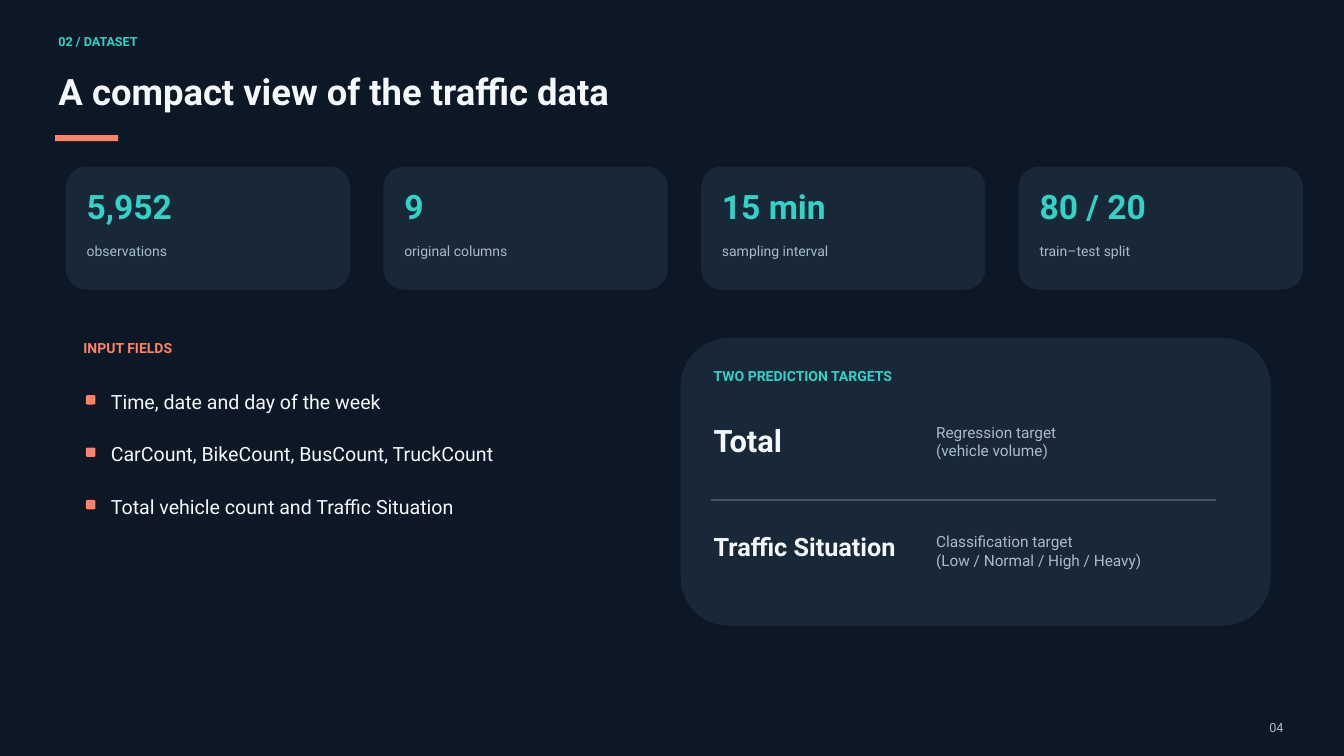
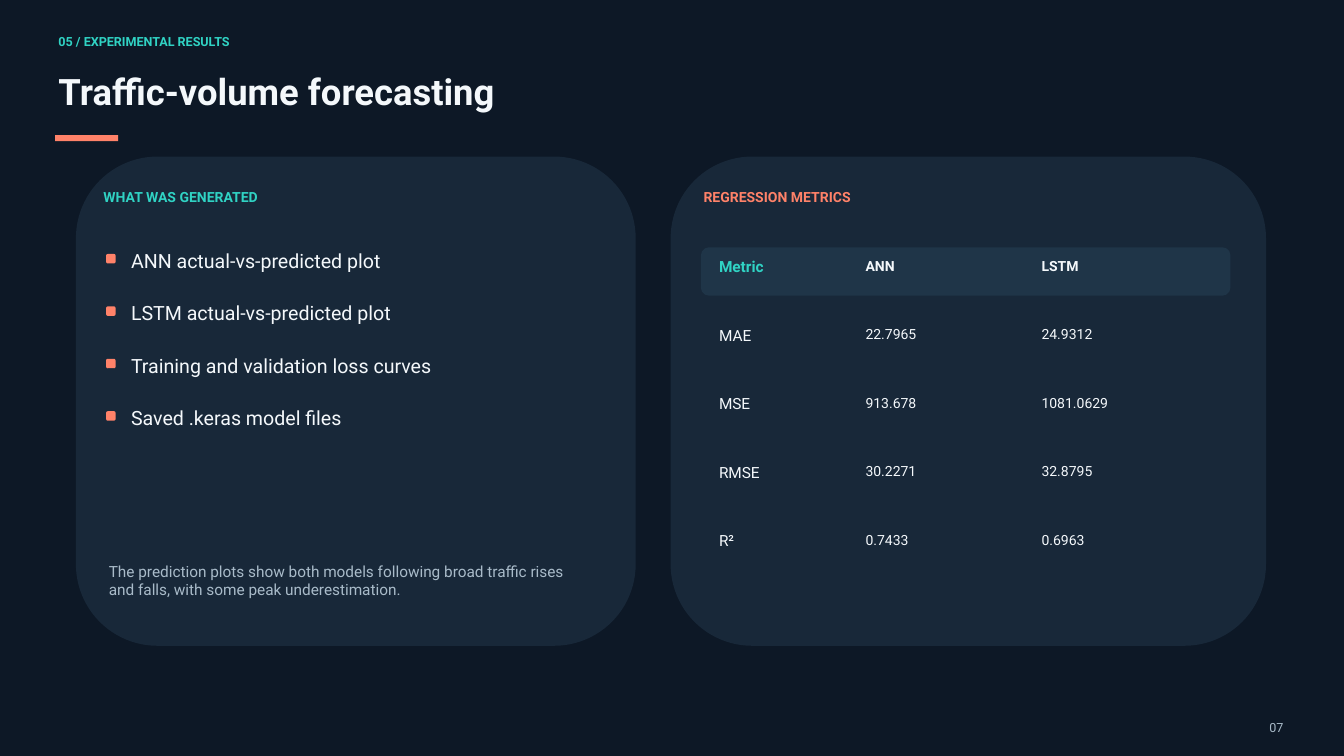
import pptx
import pptx.dml.color
import pptx.enum.shapes
import pptx.enum.text
import pptx.oxml
import pptx.oxml.ns
import pptx.util
from pptx.util import Inches

COLORS = {
    "night": "0D1826", "card": "182839", "band": "1F3548", "rule": "415566",
    "teal": "30D3C4", "coral": "FF8269", "white": "F4F8FB", "muted": "A9BBC9",
}
FONT = "Roboto"
LINE_FACTOR = 1.2
NO_GRID_STYLE = "{2D5ABB26-0587-4C30-8999-92F81FD0307C}"
SHAPES = pptx.enum.shapes.MSO_SHAPE


def rgb(color):
    """Return the palette colour as an RGBColor."""
    return pptx.dml.color.RGBColor.from_string(COLORS[color])


def style_paragraph(paragraph, size, color, bold=False):
    """Apply the deck's font and its proportional fixed leading."""
    paragraph.line_spacing = pptx.util.Pt(round(size * LINE_FACTOR, 1))
    paragraph.font.name = FONT
    paragraph.font.size = pptx.util.Pt(size)
    paragraph.font.bold = bold
    paragraph.font.color.rgb = rgb(color)


def clear_frame(frame):
    """Remove insets and keep the text wrapped at the top."""
    frame.margin_left = frame.margin_top = frame.margin_right = frame.margin_bottom = 0
    frame.word_wrap = True
    frame.auto_size = pptx.enum.text.MSO_AUTO_SIZE.NONE
    frame.vertical_anchor = pptx.enum.text.MSO_ANCHOR.TOP


def add_text(slide, box, lines, size, color, bold=False, align=pptx.enum.text.PP_ALIGN.LEFT):
    """Add a text box with one paragraph per line."""
    frame = slide.shapes.add_textbox(*map(Inches, box)).text_frame
    clear_frame(frame)
    frame.text = lines
    for paragraph in frame.paragraphs:
        paragraph.alignment = align
        style_paragraph(paragraph, size, color, bold)


def add_block(slide, box, color, preset=SHAPES.ROUNDED_RECTANGLE):
    """Add a flat filled block without outline."""
    block = slide.shapes.add_shape(preset, *map(Inches, box))
    block.shadow.inherit = False
    block.fill.solid()
    block.fill.fore_color.rgb = rgb(color)
    block.line.fill.background()


def add_divider(slide, left, right, y):
    """Add a thin horizontal divider."""
    divider = slide.shapes.add_connector(
        pptx.enum.shapes.MSO_CONNECTOR.STRAIGHT, Inches(left), Inches(y), Inches(right), Inches(y))
    divider.line.color.rgb = rgb("rule")
    divider.line.width = pptx.util.Pt(2)
    divider._element.spPr.append(pptx.oxml.parse_xml(
        f'<a:effectLst {pptx.oxml.ns.nsdecls("a")}/>'))


def add_marked_list(slide, left, top, width, items):
    """Add evenly spaced items, each beside a rounded coral marker."""
    for index, item in enumerate(items):
        item_top = top + 0.78 * index
        add_block(slide, (left, item_top + 0.08, 0.14, 0.14), "coral")
        add_text(slide, (left + 0.37, item_top, width, 0.68), item, 21, "white")


def add_stat(slide, left, value, label):
    """Add a card with a large value above its label."""
    add_block(slide, (left, 2.48, 4.23, 1.83), "card")
    add_text(slide, (left + 0.31, 2.76, 3.6, 0.67), value, 36, "teal", True)
    add_text(slide, (left + 0.31, 3.61, 3.6, 0.33), label, 15, "muted")


def add_target(slide, top, name, size, description, description_top):
    """Add a prediction target and its description."""
    add_text(slide, (10.62, top, 3.52, 0.63), name, size, "white", True)
    add_text(slide, (13.93, description_top, 4.35, 0.8), description, 16.5, "muted")


def add_metrics_table(slide, left, top, widths, rows):
    """Add an unruled table of metrics on a rounded header band."""
    row_height = 1.02
    add_block(slide, (left, top, sum(widths), 0.72), "band")
    metrics = slide.shapes.add_table(
        len(rows), len(widths), Inches(left), Inches(top),
        Inches(sum(widths)), Inches(row_height * len(rows))).table
    metrics.horz_banding = False
    metrics._tbl.tblPr.find(pptx.oxml.ns.qn("a:tableStyleId")).text = NO_GRID_STYLE
    for column, width in zip(metrics.columns, widths):
        column.width = Inches(width)
    for r, values in enumerate(rows):
        metrics.rows[r].height = Inches(row_height)
        for c, value in enumerate(values):
            cell = metrics.cell(r, c)
            cell.fill.background()
            cell.margin_left, cell.margin_top = Inches(0.27), Inches(0.16)
            cell.margin_right = cell.margin_bottom = 0
            cell.vertical_anchor = pptx.enum.text.MSO_ANCHOR.TOP
            cell.text = value
            style_paragraph(cell.text_frame.paragraphs[0], 15 if c else 16.5,
                            "teal" if r == c == 0 else "white", r == 0)


def add_slide(deck, section, title, number):
    """Add a slide with its section label, title, accent bar and number."""
    slide = deck.slides.add_slide(deck.slide_layouts.get_by_name("Title Only"))
    heading = slide.shapes.title
    heading.left, heading.top, heading.width, heading.height = map(
        Inches, (0.87, 1.03, 18.08, 0.82))
    heading.text = title
    clear_frame(heading.text_frame)
    headline = heading.text_frame.paragraphs[0]
    headline.alignment = pptx.enum.text.PP_ALIGN.LEFT
    style_paragraph(headline, 39, "white", True)
    headline.font._rPr.set("kern", "0")
    add_text(slide, (0.87, 0.5, 5.92, 0.34), section, 13.5, "teal", True)
    add_block(slide, (0.82, 2.01, 0.94, 0.09), "coral", SHAPES.RECTANGLE)
    add_text(slide, (18.35, 10.71, 0.75, 0.23), number, 13.5, "muted",
             align=pptx.enum.text.PP_ALIGN.RIGHT)
    return slide


def build_dataset(deck):
    """Build the dataset overview slide."""
    slide = add_slide(deck, "02 / DATASET", "A compact view of the traffic data", "04")
    stats = [("5,952", "observations"), ("9", "original columns"),
             ("15 min", "sampling interval"), ("80 / 20", "train–test split")]
    first_left, last_left = 0.98, 15.16
    pitch = (last_left - first_left) / (len(stats) - 1)
    for index, (value, label) in enumerate(stats):
        add_stat(slide, first_left + pitch * index, value, label)

    add_text(slide, (1.24, 5.05, 8.18, 0.48), "INPUT FIELDS", 15, "coral", True)
    add_marked_list(slide, 1.28, 5.8, 7.7, [
        "Time, date and day of the week",
        "CarCount, BikeCount, BusCount, TruckCount",
        "Total vehicle count and Traffic Situation",
    ])

    add_block(slide, (10.13, 5.03, 8.78, 4.28), "card")
    add_text(slide, (10.62, 5.47, 7.58, 0.4), "TWO PREDICTION TARGETS", 15, "teal", True)
    add_target(slide, 6.27, "Total", 33, "Regression target\n(vehicle volume)", 6.29)
    add_divider(slide, 10.58, 18.09, 7.44)
    add_target(slide, 7.91, "Traffic Situation", 27,
               "Classification target\n(Low / Normal / High / Heavy)", 7.92)


def build_forecasting(deck):
    """Build the forecasting results slide."""
    slide = add_slide(deck, "05 / EXPERIMENTAL RESULTS", "Traffic-volume forecasting", "07")
    add_block(slide, (1.13, 2.33, 8.33, 7.28), "card")
    add_text(slide, (1.54, 2.81, 7.28, 0.48), "WHAT WAS GENERATED", 15, "teal", True)
    add_marked_list(slide, 1.58, 3.7, 6.87, [
        "ANN actual-vs-predicted plot",
        "LSTM actual-vs-predicted plot",
        "Training and validation loss curves",
        "Saved .keras model files",
    ])
    add_text(slide, (1.62, 8.36, 7.13, 0.78),
             "The prediction plots show both models following broad traffic rises and falls, "
             "with some peak underestimation.", 16.5, "muted")

    add_block(slide, (9.98, 2.33, 8.86, 7.28), "card")
    add_text(slide, (10.47, 2.81, 7.73, 0.25), "REGRESSION METRICS", 15, "coral", True)
    add_metrics_table(slide, 10.43, 3.68, (2.18, 2.62, 3.08), [
        ("Metric", "ANN", "LSTM"),
        ("MAE", "22.7965", "24.9312"),
        ("MSE", "913.678", "1081.0629"),
        ("RMSE", "30.2271", "32.8795"),
        ("R²", "0.7433", "0.6963"),
    ])


def main():
    """Build and save the deck."""
    deck = pptx.Presentation()
    deck.slide_width, deck.slide_height = Inches(20), Inches(11.25)
    backdrop = deck.slide_master.background.fill
    backdrop.solid()
    backdrop.fore_color.rgb = rgb("night")
    build_dataset(deck)
    build_forecasting(deck)
    deck.save("out.pptx")


if __name__ == "__main__":
    main()
